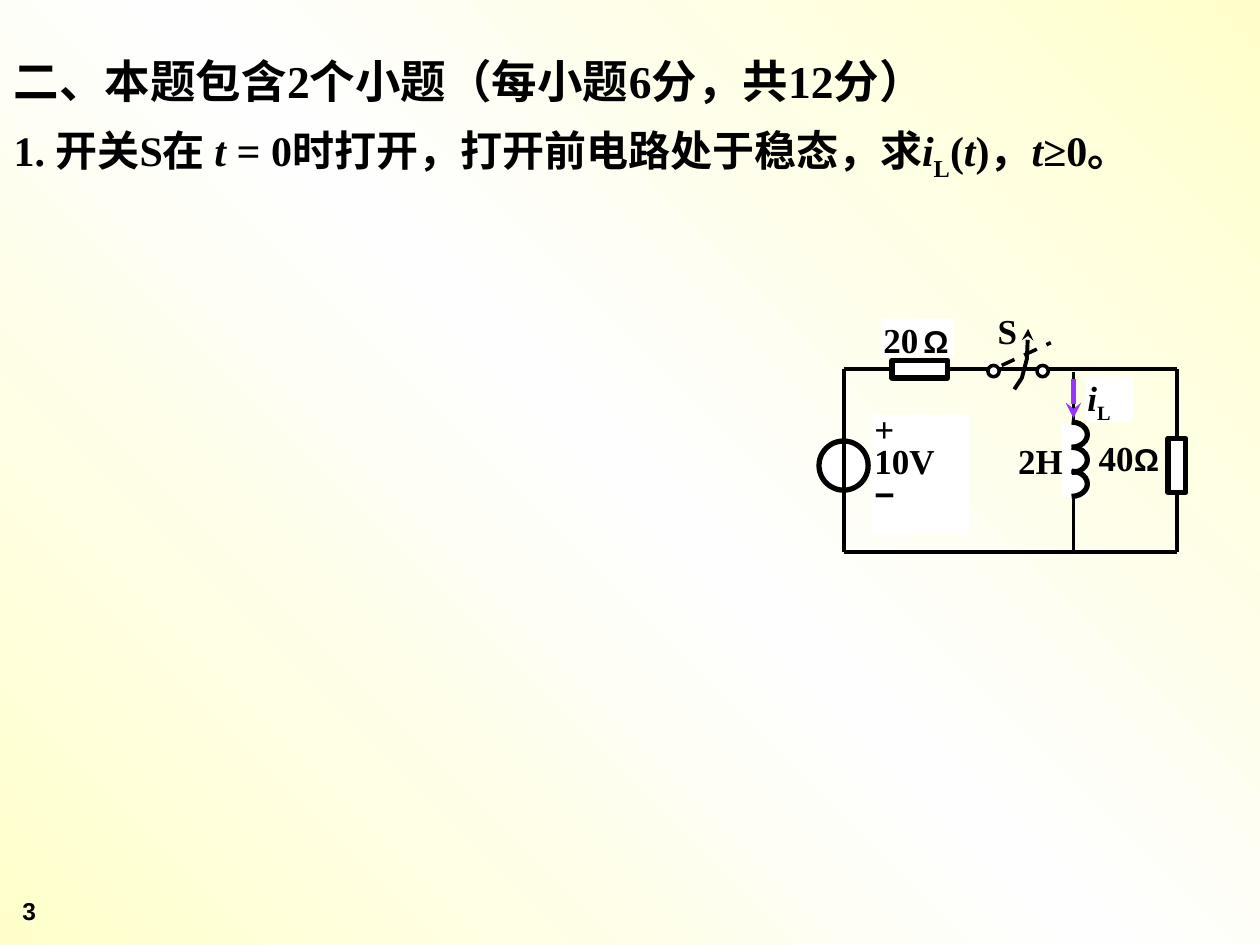
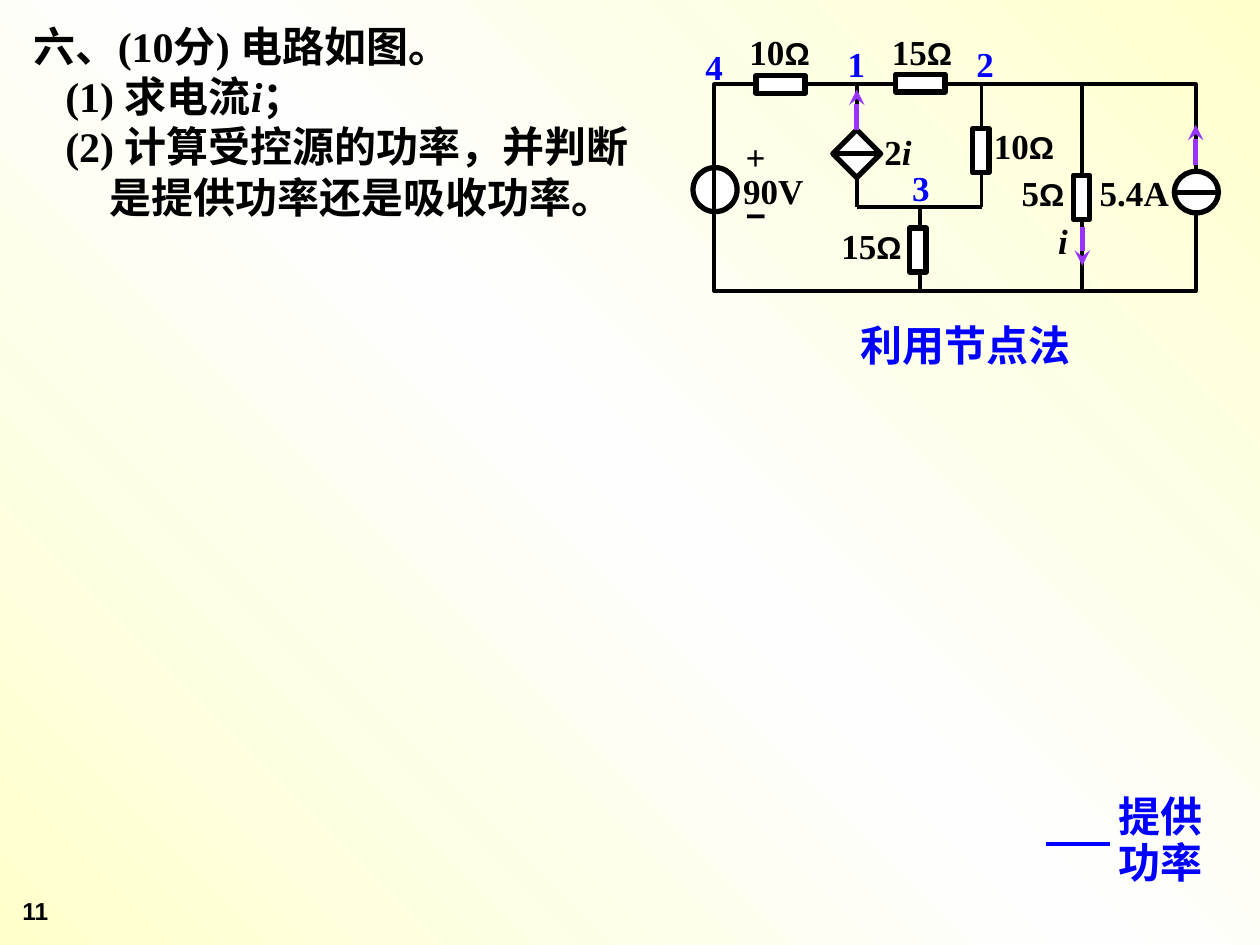
from copy import deepcopy

from lxml import etree
from pptx import Presentation
from pptx.dml.color import RGBColor
from pptx.enum import dml, shapes, text
from pptx.oxml.ns import qn
from pptx.util import Inches, Pt

# The slide is a grid of 100 columns by 75 rows
CELL = 0.1
COLS, ROWS = 100, 75
BLACK, WHITE, BLUE, PURPLE = "000000", "FFFFFF", "0000FF", "9933FF"
CREAM, PALE = "FFFFCC", "FEFEFE"
SERIF, SANS, CJK = "Times New Roman", "Arial", "Noto Sans CJK SC"
OHM = ("Ω", "ohm")
ROOMY, TIGHT = (1, 0.5), (0.2, 0.1)
SHAPE = shapes.MSO_SHAPE


def cells(n):
    return Inches(round(n * CELL, 2))


def rgb(hex_string):
    return RGBColor.from_string(hex_string)


def style_run(r, style):
    if style == "i":
        r.font.italic = True
    elif style == "sub":
        r._r.get_or_add_rPr().set("baseline", "-25000")
    elif style in ("ohm", "sans"):
        r.font.name = SANS
        if style == "ohm":
            r.font.size = Pt(18)


def add_arrowhead(ln):
    etree.SubElement(ln, qn("a:tailEnd"), type="stealth")


class Region:
    """A box on the slide grid; its parts are placed from its top left corner."""

    def __init__(self, slide, box):
        self.shapes = slide.shapes
        self.col, self.row, self.w, self.h = box

    def x(self, col):
        return cells(self.col + col)

    def y(self, row):
        return cells(self.row + row)

    def shape(self, kind, col, row, w, h, fill=WHITE, line=BLACK, width=3):
        sp = self.shapes.add_shape(kind, self.x(col), self.y(row), cells(w), cells(h))
        sp.shadow.inherit = False
        if fill:
            sp.fill.solid()
            sp.fill.fore_color.rgb = rgb(fill)
        else:
            sp.fill.background()
        if line:
            sp.line.color.rgb = rgb(line)
            sp.line.width = Pt(width)
        else:
            sp.line.fill.background()
        return sp

    def centred(self, kind, col, row, w, h, width=3):
        return self.shape(kind, col - w / 2, row - h / 2, w, h, width=width)

    def wire(self, c1, r1, c2, r2, color=BLACK, width=2.25, arrow=False):
        cx = self.shapes.add_connector(shapes.MSO_CONNECTOR.STRAIGHT,
                                       self.x(c1), self.y(r1), self.x(c2), self.y(r2))
        cx.line.color.rgb = rgb(color)
        cx.line.width = Pt(width)
        if arrow:
            add_arrowhead(cx.line._get_or_add_ln())
        etree.SubElement(cx._element.spPr, qn("a:effectLst"))
        return cx

    def current(self, col, start, end):
        return self.wire(col, start, col, end, PURPLE, 3, arrow=True)

    def label(self, col, row, w, h, paragraphs, size=20, color=BLACK, font=SERIF,
              spacing=1.0, inset=ROOMY, fill=None, anchor=text.MSO_ANCHOR.TOP,
              indents=()):
        """Each paragraph is a list of strings or (string, style) pairs."""
        if fill:
            sp = self.shape(SHAPE.RECTANGLE, col, row, w, h, fill, None)
        else:
            sp = self.shapes.add_textbox(self.x(col), self.y(row), cells(w), cells(h))
        tf = sp.text_frame
        tf.word_wrap = True
        tf.vertical_anchor = anchor
        tf.margin_left = tf.margin_right = cells(inset[0])
        tf.margin_top = tf.margin_bottom = cells(inset[1])
        for n, runs in enumerate(paragraphs):
            p = tf.paragraphs[0] if n == 0 else tf.add_paragraph()
            p.alignment = text.PP_ALIGN.LEFT
            p.line_spacing = spacing
            if indents:
                p._p.get_or_add_pPr().set("marL", str(cells(indents[n])))
            p.font.size = Pt(size[n] if isinstance(size, tuple) else size)
            p.font.bold = True
            p.font.name = font
            p.font.color.rgb = rgb(color)
            etree.SubElement(p.font._element, qn("a:ea"), typeface=CJK)
            for part in runs:
                words, style = (part, None) if isinstance(part, str) else part
                r = p.add_run()
                r.text = words
                style_run(r, style)
        return sp


def add_slide(prs, number):
    slide = prs.slides.add_slide(prs.slide_layouts[6])
    # Diagonal background, cream at both corners
    fill = slide.background.fill
    fill.gradient()
    fill.gradient_angle = 225
    stops = slide._element.find(".//" + qn("a:gsLst"))
    stops.insert(1, deepcopy(stops[0]))
    for stop, color, place in zip(fill.gradient_stops, (CREAM, PALE, CREAM), (0, 0.5, 1)):
        stop.color.rgb = rgb(color)
        stop.position = place
    # Slide number
    Region(slide, (0.8, 70.6, 5.9, 3.6)).label(0, 0, 5.9, 3.6, [[number]], 14, font=SANS)
    return slide


def question(slide, box, paragraphs, size, spacing=1.0, indents=()):
    area = Region(slide, box)
    area.label(0, 0, area.w, area.h, paragraphs, size, spacing=spacing,
               anchor=text.MSO_ANCHOR.MIDDLE, indents=indents)


def inductor_circuit(slide, box):
    c = Region(slide, box)
    mid = 7.65
    coil = 18.2

    # Voltage source
    c.label(2.2, 3.6, 7.7, 9.5, [["+"], ["10V"], [("−", "sans")]],
            spacing=0.78, inset=TIGHT, fill=WHITE)
    c.centred(SHAPE.OVAL, 0, mid, 3.9, 3.9)

    # Outer loop and the inductor branch
    for col in (0, c.w):
        c.wire(col, 0, col, c.h)
    for row in (0, c.h):
        c.wire(0, row, c.w, row)
    c.wire(coil, 0.2, coil, 4.7)
    c.wire(coil, 9.6, coil, c.h)

    # Resistors
    c.centred(SHAPE.RECTANGLE, 6, 0, 4.4, 1.4)
    c.centred(SHAPE.RECTANGLE, c.w, mid, 1.4, 4.3)

    # Switch
    for col in (11.85, 15.75):
        c.centred(SHAPE.OVAL, col, 0.15, 0.9, 0.9, width=2)
    points = [(c.x(a), c.y(b)) for a, b in
              ((13.5, 1.6), (14.1, 0.7), (14.5, -0.8), (14.6, -3.2))]
    builder = c.shapes.build_freeform(*points[0])
    builder.add_line_segments(points[1:], close=False)
    opening = builder.convert_to_shape()
    opening.shadow.inherit = False
    opening.fill.background()
    opening.line.color.rgb = rgb(BLACK)
    opening.line.width = Pt(2.25)
    add_arrowhead(opening.line._get_or_add_ln())
    blade = c.wire(12.5, -0.3, 16.4, -2.1, width=2)
    blade.line.dash_style = dml.MSO_LINE.DASH

    # Labels
    for col, row, w, h, runs, fill in (
            (2.9, -4, 5.8, 3, ["20", (" ", "sub"), OHM], WHITE),
            (20, 5.7, 6, 4, ["40", OHM], None),
            (19.1, 0.6, 3.9, 3.6, [("i", "i"), ("L", "sub")], WHITE),
            (13.6, 5.9, 5, 3.8, ["2H"], None)):
        c.label(col, row, w, h, [runs], spacing=0.88, inset=TIGHT, fill=fill)
    c.label(11.2, -5.2, 5.9, 4.9, [["S"]])
    c.current(coil, 0.8, 3.9)

    # Coil: three half turns
    c.shape(SHAPE.RECTANGLE, 17.3, 4.3, 1.9, 5.9, line=None)
    for turn in range(3):
        arc = c.shape(SHAPE.ARC, 16.8, 4.2 + 1.95 * turn, 2.5, 2, fill=None)
        arc.adjustments[0], arc.adjustments[1] = 162, 54


def node_circuit(slide, box):
    c = Region(slide, box)
    left, right, branch, join = 11.3, 21.2, 29.2, 9.7

    # Independent sources and the outer loop
    c.centred(SHAPE.OVAL, 0, 8.35, 3.5, 3.5)
    c.shape(SHAPE.RECTANGLE, 0, 0, c.w, c.h, fill=None, width=2.25)
    c.centred(SHAPE.OVAL, c.w, 8.55, 3.5, 3.3)
    c.wire(c.w - 1.75, 8.6, c.w + 1.7, 8.6, width=3)

    # Inner branches
    for ends in ((branch, 0, branch, c.h), (16.3, join, 16.3, c.h),
                 (left, 0, left, join), (left, join, right, join),
                 (right, 0, right, join)):
        c.wire(*ends)

    # Resistors
    for col, row in ((5.25, 0), (16.35, -0.1)):
        c.centred(SHAPE.RECTANGLE, col, row, 3.9, 1.4)
    for col, row in ((21.15, 5.25), (29.15, 8.95), (16.15, 13.15)):
        c.centred(SHAPE.RECTANGLE, col, row, 1.3, 3.5)

    # Controlled source
    diamond = c.centred(SHAPE.DIAMOND, left, 5.5, 3.8, 3.8)
    bar = c.wire(left - 1.9, 5.5, left + 1.9, 5.5, width=3)
    bar.begin_connect(diamond, 1)
    bar.end_connect(diamond, 3)

    # Current arrows
    c.current(left, 3.6, 0.4).begin_connect(diamond, 0)
    c.current(branch, 11.3, 14.4)
    c.current(c.w, 6.4, 3.2)

    # Values, then node numbers
    values = ((1.3, 6.3, ["90V"]), (1.5, 3.6, ["+"]), (1.5, 8.2, [("−", "sans")]),
              (1.8, -4.8, ["10", OHM]), (13.1, -4.8, ["15", OHM]),
              (21.2, 2.7, ["10", OHM]), (23.4, 6.4, ["5", OHM]),
              (9.1, 10.6, ["15", OHM]), (29.6, 6.4, ["5.4A"]),
              (26.3, 10.2, [("i", "i")]), (12.5, 3.2, ["2", ("i", "i")]))
    nodes = ((9.6, -3.8, ["1"]), (19.8, -3.8, ["2"]),
             (14.7, 6, ["3"]), (-1.7, -3.6, ["4"]))
    for labels, width, color in ((values, 8.6, BLACK), (nodes, 5, BLUE)):
        for col, row, runs in labels:
            c.label(col, row, width, 4.4, [runs], color=color)


def remarks(slide, box):
    area = Region(slide, box)
    area.label(0, 0, 19.5, 5, [["利用节点法"]], 24, BLUE, CJK)
    area.label(20.5, 37.8, 9.5, 8.2, [["提供"], ["功率"]], 24, BLUE, CJK, spacing=0.9,
               anchor=text.MSO_ANCHOR.MIDDLE)
    area.wire(15.7, 42.1, 20.8, 42.1, BLUE)


def main():
    prs = Presentation()
    prs.slide_width, prs.slide_height = cells(COLS), cells(ROWS)

    slide = add_slide(prs, "3")
    question(slide, (0.1, 2.4, 99, 12.6), [
        ["二、本题包含2个小题（每小题6分，共12分）"],
        ["1. 开关S在 ", ("t ", "i"), "= 0时打开，打开前电路处于稳态，求", ("i", "i"),
         ("L", "sub"), "(", ("t", "i"), ")，", ("t", "i"), "≥0。"],
    ], (26, 24), spacing=1.3)
    inductor_circuit(slide, (67, 29.3, 26.4, 14.5))

    slide = add_slide(prs, "11")
    question(slide, (1.7, 0.8, 52, 17.6), [
        ["六、(10分) 电路如图。"],
        ["(1) 求电流", ("i", "i"), "；"],
        ["(2) 计算受控源的功率，并判断"],
        ["是提供功率还是吸收功率。"],
    ], 24, indents=(0, 2.5, 2.5, 6))
    node_circuit(slide, (56.7, 6.7, 38.2, 16.4))
    remarks(slide, (67.3, 24.9, 30, 46))

    prs.save("out.pptx")


if __name__ == "__main__":
    main()
